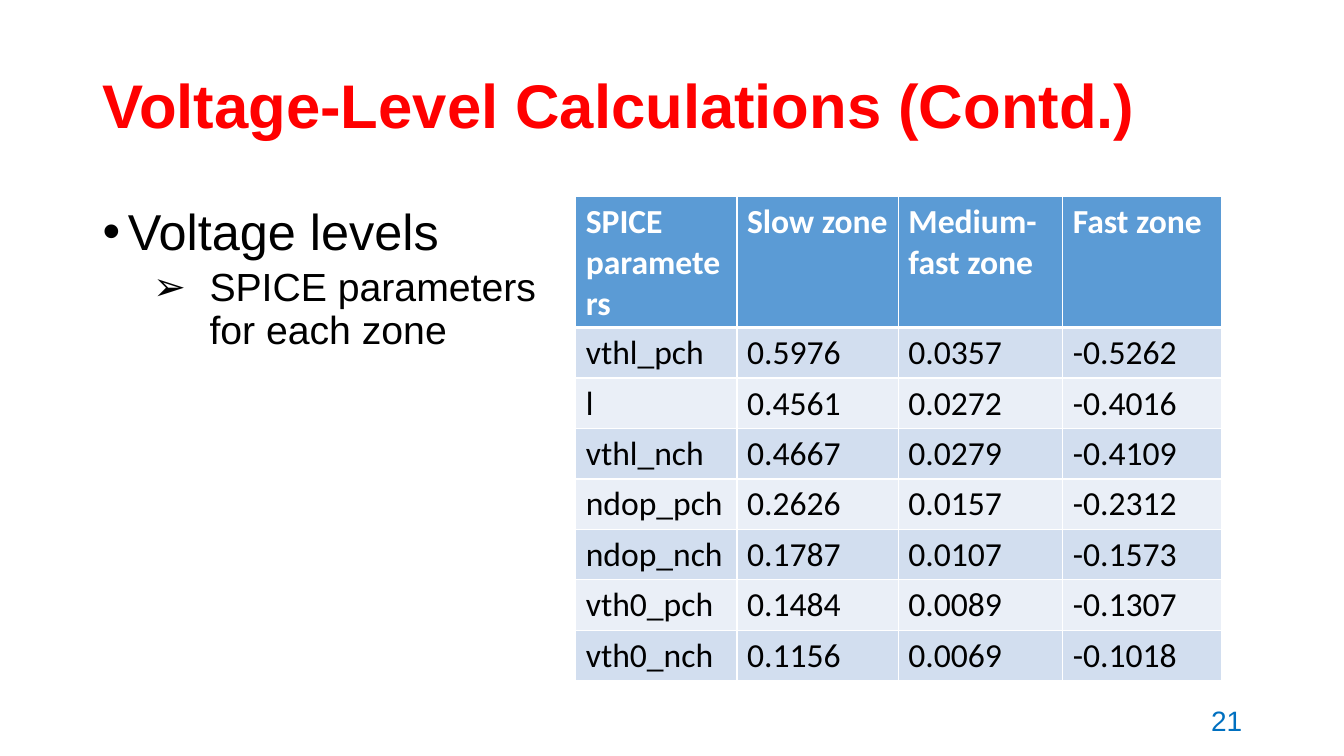
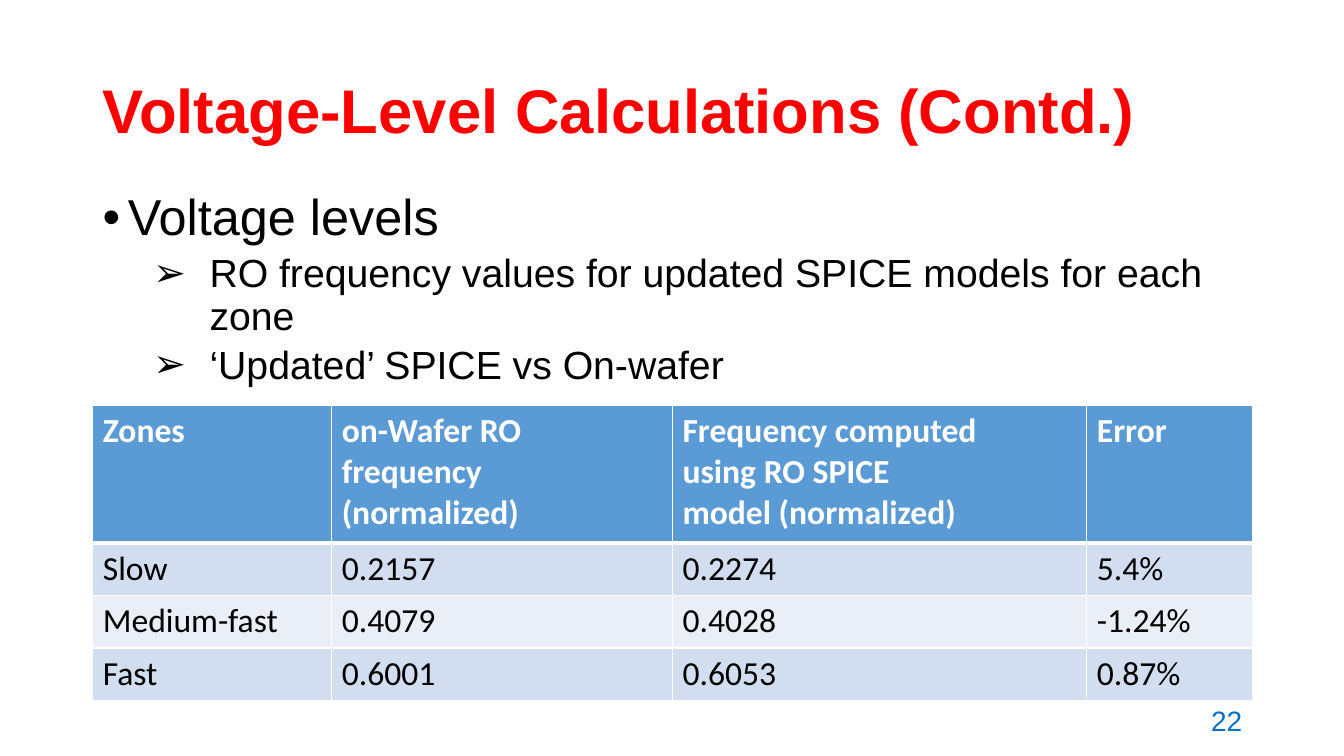
from lxml import etree
from pptx import Presentation, util as u
from pptx.dml.color import RGBColor
from pptx.enum import text
from pptx.oxml.ns import qn

PX = u.Inches(1) // 100  # 100 px to the inch

RED, BLUE, BLACK, WHITE = "FF0000", "0070C0", "000000", "FFFFFF"
HEADER_FILL, ROW_FILLS = "5B9BD5", ("D2DEEF", "EAEFF7")
LEFT, WIDTH = 92, 1150
TITLE = "Voltage-Level Calculations (Contd.)"

# level: bullet, left margin, hanging indent, space before, size
LEVELS = [("•", 25, 25, 10, 36), ("➢", 106, 56, 5, 28)]

SLIDES = [
    {
        "number": 21,
        "title_top": 35,
        "body_top": 200,
        "bullets": [(0, "Voltage levels"),
                    (1, "SPICE parameters\nfor each zone")],
        "table_at": (571, 195),
        "columns": (160, 160, 163, 158),
        "heights": (130, 50),
        "rows": [
            ("SPICE parameters", "Slow zone", "Medium-fast zone", "Fast zone"),
            ("vthl_pch", "0.5976", "0.0357", "-0.5262"),
            ("l", "0.4561", "0.0272", "-0.4016"),
            ("vthl_nch", "0.4667", "0.0279", "-0.4109"),
            ("ndop_pch", "0.2626", "0.0157", "-0.2312"),
            ("ndop_nch", "0.1787", "0.0107", "-0.1573"),
            ("vth0_pch", "0.1484", "0.0089", "-0.1307"),
            ("vth0_nch", "0.1156", "0.0069", "-0.1018"),
        ],
    },
    {
        "number": 22,
        "title_top": 40,
        "body_top": 186,
        "bullets": [
            (0, "Voltage levels"),
            (1, "RO frequency values for updated SPICE models for each zone"),
            (1, "‘Updated’ SPICE vs On-wafer"),
        ],
        "table_at": (LEFT, 402),
        "columns": (237, 338, 411, 164),
        "heights": (137, 52),
        "rows": [
            ("Zones", "on-Wafer RO\nfrequency\n(normalized)",
             "Frequency computed\nusing RO SPICE\nmodel (normalized)", "Error"),
            ("Slow", "0.2157", "0.2274", "5.4%"),
            ("Medium-fast", "0.4079", "0.4028", "-1.24%"),
            ("Fast", "0.6001", "0.6053", "0.87%"),
        ],
    },
]


def rgb(value):
    return RGBColor.from_string(value)


def style(para, size, color, name="Arial", bold=False):
    font = para.font
    font.name, font.size, font.bold = name, u.Pt(size), bold
    font.color.rgb = rgb(color)


def add_text(page, left, top, width, height, anchor):
    box = page.shapes.add_textbox(*(n * PX for n in (left, top, width, height)))
    frame = box.text_frame
    frame.word_wrap = True
    frame.vertical_anchor = anchor
    return frame


def add_title(page, top):
    frame = add_text(page, LEFT, top, WIDTH, 145, text.MSO_ANCHOR.MIDDLE)
    para = frame.paragraphs[0]
    para.text = TITLE
    para.line_spacing = 0.9
    style(para, 44, RED, bold=True)


def add_number(page, number):
    frame = add_text(page, 942, 695, 300, 40, text.MSO_ANCHOR.MIDDLE)
    para = frame.paragraphs[0]
    para.text = str(number)
    para.alignment = text.PP_ALIGN.RIGHT
    style(para, 20, BLUE)


def add_bullets(page, top, bullets):
    frame = add_text(page, LEFT, top, WIDTH, 476, text.MSO_ANCHOR.TOP)
    for index, (level, line) in enumerate(bullets):
        para = frame.add_paragraph() if index else frame.paragraphs[0]
        mark, margin, hang, before, size = LEVELS[level]
        para.text = line
        para.level = level
        para.line_spacing = 0.9
        para.space_before = u.Pt(before)
        props = para._p.get_or_add_pPr()
        props.set("marL", str(margin * PX))
        props.set("indent", str(-hang * PX))
        etree.SubElement(props, qn("a:buFont"), typeface="Arial")
        etree.SubElement(props, qn("a:buChar"), char=mark)
        style(para, size, BLACK)


def set_borders(cell, row):
    """White grid, with a thicker rule below the header row."""
    widths = {"L": 1, "R": 1, "T": 3 if row == 1 else 1, "B": 3 if row == 0 else 1}
    props = cell._tc.get_or_add_tcPr()
    for side, width in widths.items():
        line = etree.SubElement(props, qn(f"a:ln{side}"), w=str(u.Pt(width)))
        fill = etree.SubElement(line, qn("a:solidFill"))
        etree.SubElement(fill, qn("a:srgbClr"), val=WHITE)


def add_table(page, at, columns, heights, rows):
    header, body = heights
    left, top = at
    height = header + body * (len(rows) - 1)
    table = page.shapes.add_table(len(rows), len(columns), left * PX, top * PX,
                                  sum(columns) * PX, height * PX).table
    for column, width in zip(table.columns, columns):
        column.width = width * PX
    for r, values in enumerate(rows):
        is_header = r == 0
        table.rows[r].height = (header if is_header else body) * PX
        for c, value in enumerate(values):
            cell = table.cell(r, c)
            cell.text = value
            set_borders(cell, r)
            cell.fill.solid()
            cell.fill.fore_color.rgb = rgb(HEADER_FILL if is_header else ROW_FILLS[(r - 1) % 2])
            for para in cell.text_frame.paragraphs:
                style(para, 24, WHITE if is_header else BLACK, "Calibri", is_header)


def main():
    deck = Presentation()
    deck.slide_width, deck.slide_height = u.Inches(13.33), u.Inches(7.5)
    for slide in SLIDES:
        page = deck.slides.add_slide(deck.slide_layouts[6])
        add_title(page, slide["title_top"])
        add_bullets(page, slide["body_top"], slide["bullets"])
        add_table(page, slide["table_at"], slide["columns"], slide["heights"], slide["rows"])
        add_number(page, slide["number"])
    deck.save("out.pptx")


if __name__ == "__main__":
    main()
